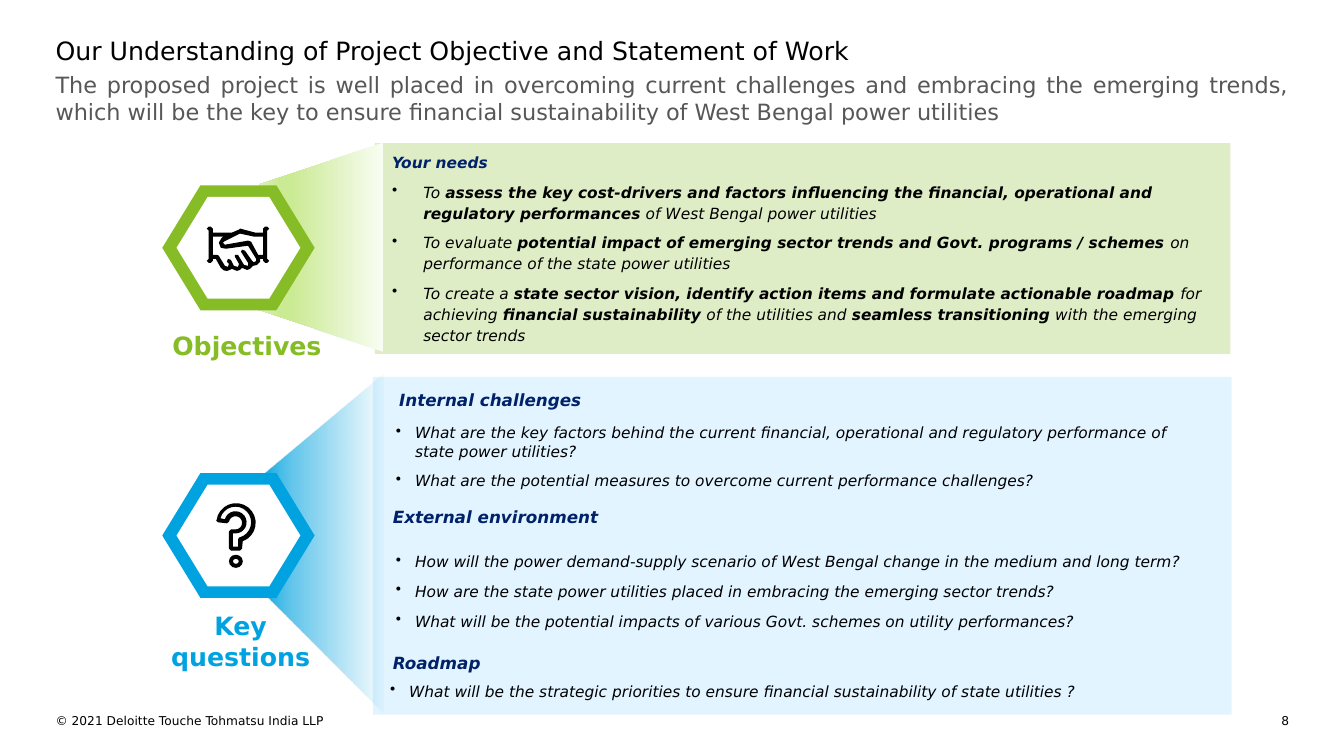
import math

import pptx
import pptx.dml.color
import pptx.enum.shapes
import pptx.enum.text
import pptx.oxml
import pptx.oxml.ns
import pptx.util
from pptx.util import Cm

RGBColor = pptx.dml.color.RGBColor
Preset = pptx.enum.shapes.MSO_SHAPE
Align = pptx.enum.text.PP_ALIGN
Anchor = pptx.enum.text.MSO_ANCHOR

FONT = "DejaVu Sans"
BLACK = RGBColor(0x00, 0x00, 0x00)
WHITE = RGBColor(0xFF, 0xFF, 0xFF)
GREY = RGBColor(0x57, 0x57, 0x57)
NAVY = RGBColor(0x01, 0x21, 0x69)
GREEN = RGBColor(0x86, 0xBC, 0x25)
GREEN_EDGE = RGBColor(0xF9, 0xFD, 0xF3)
GREEN_MID = RGBColor(0xCB, 0xEA, 0x94)
GREEN_END = RGBColor(0xDC, 0xF1, 0xB8)
BLUE = RGBColor(0x00, 0xA3, 0xE0)
PALE_BLUE = RGBColor(0xA0, 0xDC, 0xFF)

# Gradient stops: position %, colour, opacity %
GREEN_STOPS = [(0, GREEN_EDGE, 100), (74, GREEN_MID, 100), (83, GREEN_MID, 100), (100, GREEN_END, 100)]
BLUE_STOPS = [(0, BLUE, 2), (74, BLUE, 62), (83, BLUE, 73), (100, BLUE, 100)]

NEEDS = [
    "To **assess the key cost-drivers and factors influencing the financial, operational and "
    "regulatory performances** of West Bengal power utilities",
    "To evaluate **potential impact of emerging sector trends and Govt. programs / schemes** on "
    "performance of the state power utilities",
    "To create a **state sector vision, identify action items and formulate actionable roadmap** for "
    "achieving **financial sustainability** of the utilities and **seamless transitioning** with the "
    "emerging sector trends",
]
# Heading, its left and top, list left, top and height (cm within the panel), questions
QUESTIONS = [
    ("Internal challenges", 0.46, 0.08, 0.58, 0.97, 2.08, [
        "What are the key factors behind the current financial, operational and regulatory "
        "performance of state power utilities?",
        "What are the potential measures to overcome current performance challenges?"]),
    ("External environment", 0.3, 3.02, 0.58, 3.99, 2.82, [
        "How will the power demand-supply scenario of West Bengal change in the medium and long term?",
        "How are the state power utilities placed in embracing the emerging sector trends?",
        "What will be the potential impacts of various Govt. schemes on utility performances?"]),
    ("Roadmap", 0.3, 6.71, 0.43, 7.59, 0.64, [
        "What will be the strategic priorities to ensure financial sustainability of state utilities ?"]),
]


def arc(x, y, radius, start, end):
    return [(x + radius * math.cos(math.radians(start + (end - start) * step / 16)),
             y + radius * math.sin(math.radians(start + (end - start) * step / 16)))
            for step in range(17)]


# Icon outlines on a grid of 0.0254 cm
HANDSHAKE = [
    [(60, 32), (60, 4), (62, 2), (60, 0), (58, 0), (56, 2), (56, 6), (48, 6), (33, 2), (32, 3), (25, 6),
     (6, 6), (6, 2), (4, 0), (2, 0), (0, 2), (2, 4), (2, 32), (0, 34), (2, 36), (4, 36), (6, 34), (6, 32),
     (9, 32), (14, 41), (17, 43.5), (20, 44), (23, 43), (25, 42), (30, 44), (33, 43), (35, 41), (40, 43),
     (43, 42), (46, 39), (50, 38), (53, 35), (53, 32), (56, 32), (56, 34), (58, 36), (60, 36), (62, 34)],
    [(49, 34), (48, 35), (46, 35), (45, 34), (38, 24), (35, 23), (34, 25), (41, 36), (41, 39), (37, 38),
     (31, 28), (28, 28), (28, 30), (32, 37), (31, 40), (27, 39), (24, 33), (21, 32), (20, 35), (22, 37),
     (21, 40), (18, 39), (12, 29), (10, 28), (6, 28), (6, 10), (17, 10), (15, 11), (12, 16), (14, 21),
     (19, 22), (41, 19), (49, 32)],
    [(56, 28), (51, 28), (44, 15), (41, 14), (18, 18), (16, 16), (17, 15), (33, 7), (47, 10), (56, 10)],
]
QUESTION_MARK = [
    [(24, 47), (15, 47), (13, 45), (13, 28), (15, 26)] + arc(19.5, 19.5, 6.5, 90, -170)
    + [(11, 20), (2, 19), (0, 17)] + arc(20, 19.5, 19.5, 187, 430) + [(26, 45)],
    [(17, 43), (22, 43), (22, 36), (23, 34)] + arc(19.5, 19, 15.5, 75, -165)
    + [(9, 16)] + arc(19.5, 19, 11, 195, 450) + [(17, 30)],
]


def paint(shape, colour, opacity=100):
    shape.shadow.inherit = False
    shape.line.fill.background()
    shape.fill.solid()
    shape.fill.fore_color.rgb = colour
    if opacity < 100:
        tint = shape._element.spPr.find(".//" + pptx.oxml.ns.qn("a:srgbClr"))
        alpha = tint.makeelement(pptx.oxml.ns.qn("a:alpha"), {"val": str(opacity * 1000)})
        tint.append(alpha)


def paint_gradient(shape, stops, angle):
    paint(shape, stops[0][1])
    marks = "".join(
        f'<a:gs pos="{place * 1000}"><a:srgbClr val="{colour}"><a:alpha val="{opacity * 1000}"/>'
        f"</a:srgbClr></a:gs>" for place, colour, opacity in stops)
    gradient = pptx.oxml.parse_xml(
        f'<a:gradFill {pptx.oxml.ns.nsdecls("a")} rotWithShape="1"><a:gsLst>{marks}</a:gsLst>'
        f'<a:lin ang="{angle * 60000}" scaled="0"/></a:gradFill>')
    properties = shape._element.spPr
    properties.replace(properties.find(pptx.oxml.ns.qn("a:solidFill")), gradient)


def add_preset(shapes, preset, left, top, width, height, colour, opacity=100):
    shape = shapes.add_shape(preset, Cm(left), Cm(top), Cm(width), Cm(height))
    paint(shape, colour, opacity)
    return shape


def add_outline(shapes, left, top, contours, unit, colour):
    scaled = [[(x * unit, y * unit) for x, y in contour] for contour in contours]
    builder = shapes.build_freeform(*scaled[0][0])
    for index, contour in enumerate(scaled):
        if index:
            builder.move_to(*contour[0])
        builder.add_line_segments(contour[1:], close=True)
    shape = builder.convert_to_shape(Cm(left), Cm(top))
    paint(shape, colour)
    return shape


def add_frame(page, left, top, width, height, inset=0, anchor=Anchor.TOP):
    frame = page.shapes.add_textbox(Cm(left), Cm(top), Cm(width), Cm(height)).text_frame
    frame.word_wrap = True
    frame.vertical_anchor = anchor
    frame.margin_left = 0
    frame.margin_top = frame.margin_right = frame.margin_bottom = Cm(inset)
    return frame


def write(frame, text, size=11, colour=BLACK, bold=False, italic=False, align=Align.LEFT,
          after=0, spacing=None, indent=0, hanging=0):
    """Add a paragraph; **marks** set bold spans, and a hanging indent brings a bullet."""
    para = frame.add_paragraph() if frame.text else frame.paragraphs[0]
    properties = para._p.get_or_add_pPr()
    properties.set("marL", str(Cm(indent)))
    properties.set("indent", str(-Cm(hanging)))
    if hanging:
        properties.append(pptx.oxml.parse_xml(f'<a:buChar {pptx.oxml.ns.nsdecls("a")} char="•"/>'))
    para.alignment = align
    para.space_after = pptx.util.Pt(after)
    if spacing:
        para.line_spacing = spacing
    for number, line in enumerate(text.split("\n")):
        if number:
            para.add_line_break()
        for index, piece in enumerate(line.split("**")):
            span = para.add_run()
            span.text = piece
            span.font.name = FONT
            span.font.size = pptx.util.Pt(size)
            span.font.color.rgb = colour
            span.font.bold = bold or index % 2 == 1
            span.font.italic = italic


def add_header(page, left, top, width):
    write(add_frame(page, left, top, width, 0.94),
          "Our Understanding of Project Objective and Statement of Work", size=18)
    write(add_frame(page, left, top + 0.91, width, 0.69),
          "The proposed project is well placed in overcoming current challenges and embracing the emerging "
          "trends, which will be the key to ensure financial sustainability of West Bengal power utilities",
          size=16, colour=GREY, align=Align.JUSTIFY)


def add_footer(page, left, top, width):
    write(add_frame(page, left, top, 14.88, 0.56), "© 2021 Deloitte Touche Tohmatsu India LLP", size=8.7)
    write(add_frame(page, left + width - 0.86, top, 0.86, 0.28), "8", size=8.7, align=Align.RIGHT)


def add_badge(page, left, top, colour):
    """Draw a hexagon ring and return its shapes, ready for an icon."""
    shapes = page.shapes.add_group_shape().shapes
    for inset_x, inset_y, fill in ((0, 0, colour), (0.36, 0.29, WHITE)):
        hexagon = add_preset(shapes, Preset.HEXAGON, left + inset_x, top + inset_y,
                             3.84 - 2 * inset_x, 3.15 - 2 * inset_y, fill)
        hexagon.adjustments[0] = 0.306
    return shapes


def add_label(page, left, top, height, text, colour):
    write(add_frame(page, left, top, 6.05, height), text, size=18, colour=colour, bold=True,
          align=Align.CENTER)


def add_objectives(page, left, top, width, height):
    add_preset(page.shapes, Preset.RECTANGLE, left, top, width, height, GREEN, 26)
    frame = add_frame(page, left + 0.23, top + 0.61, 21.03, 4.04, 0.25, Anchor.MIDDLE)
    write(frame, "Your needs", colour=NAVY, bold=True, italic=True, after=6, spacing=1.14, indent=0.2)
    for need in NEEDS:
        write(frame, need, italic=True, after=6, spacing=1.14, indent=0.99, hanging=0.79)
    beam = add_preset(page.shapes, Preset.FLOWCHART_MANUAL_OPERATION, left - 3.99, top + 1.06, 5.26, 3.12, GREEN)
    beam.rotation = 90
    paint_gradient(beam, GREEN_STOPS, 90)
    badge = add_badge(page, left - 5.36, top + 1.06, GREEN)
    add_outline(badge, left - 4.24, top + 2.1, HANDSHAKE, Cm(0.0254), BLACK)
    add_label(page, left - 6.25, top + 4.72, 0.76, "Objectives", GREEN)


def add_key_questions(page, left, top, width, height):
    add_preset(page.shapes, Preset.RECTANGLE, left, top, width, height, PALE_BLUE, 31)
    for heading, head_x, head_y, list_x, list_y, list_height, questions in QUESTIONS:
        write(add_frame(page, left + head_x, top + head_y, 21.03, 0.89, 0.25), heading, size=12,
              colour=NAVY, bold=True, italic=True, after=6, indent=0.2)
        frame = add_frame(page, left + list_x, top + list_y, 19.79, list_height, 0, Anchor.MIDDLE)
        for question in questions:
            write(frame, question, italic=True, after=8, indent=0.48, hanging=0.48)
    corners = [(0, 2.65), (3.12, 0), (3.12, 8.56), (0, 5.39)]
    beam = add_outline(page.shapes, left - 2.87, top - 0.08, [corners], Cm(1), BLUE)
    paint_gradient(beam, BLUE_STOPS, 180)
    badge = add_badge(page, left - 5.31, top + 2.42, BLUE)
    add_preset(badge, Preset.DONUT, left - 3.63, top + 4.48, 0.35, 0.33, BLACK).adjustments[0] = 0.31
    add_outline(badge, left - 3.96, top + 3.18, QUESTION_MARK, Cm(0.0254), BLACK)
    add_label(page, left - 6.36, top + 5.89, 1.55, "Key\nquestions", BLUE)


def main():
    deck = pptx.Presentation()
    deck.slide_width, deck.slide_height = Cm(33.87), Cm(19.05)
    page = deck.slides.add_slide(deck.slide_layouts[6])
    add_header(page, 1.4, 0.89, 31.09)
    add_objectives(page, 9.45, 3.61, 21.56, 5.31)
    add_key_questions(page, 9.4, 9.5, 21.64, 8.51)
    add_footer(page, 1.4, 17.98, 31.09)
    deck.save("out.pptx")


if __name__ == "__main__":
    main()
